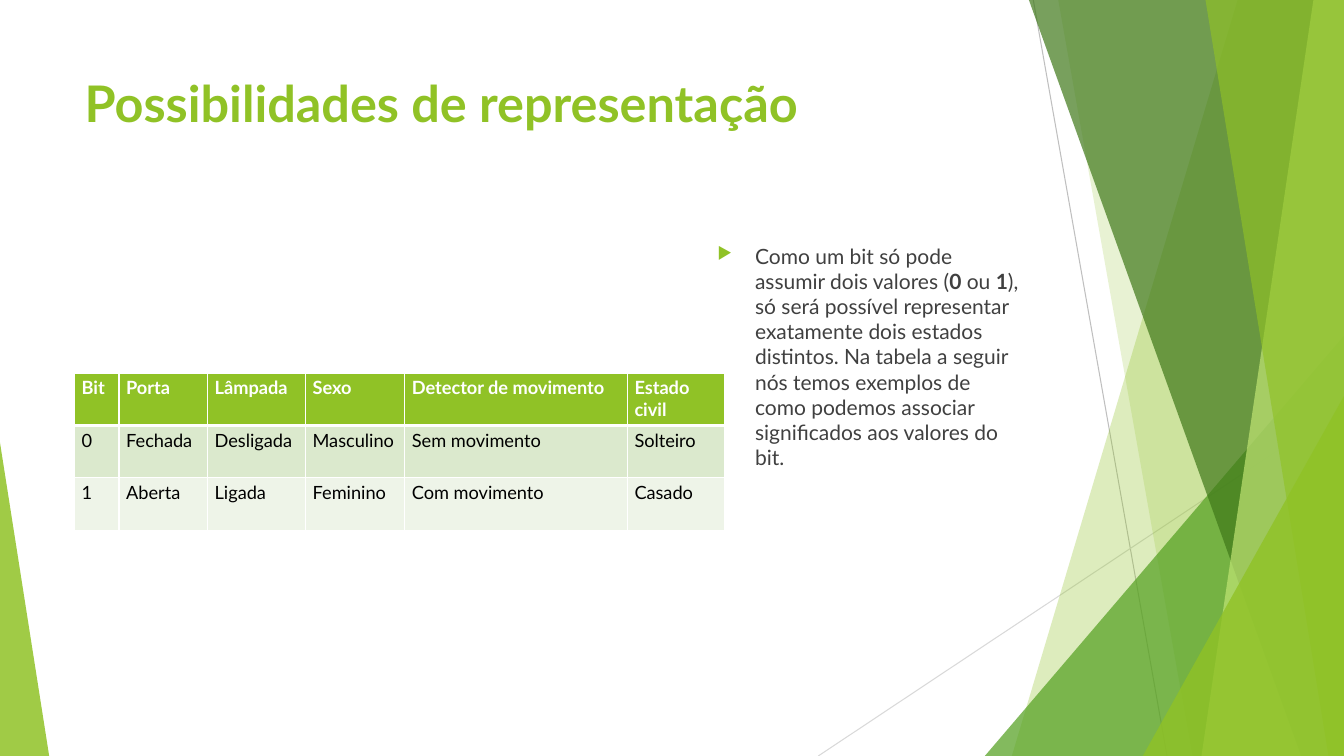
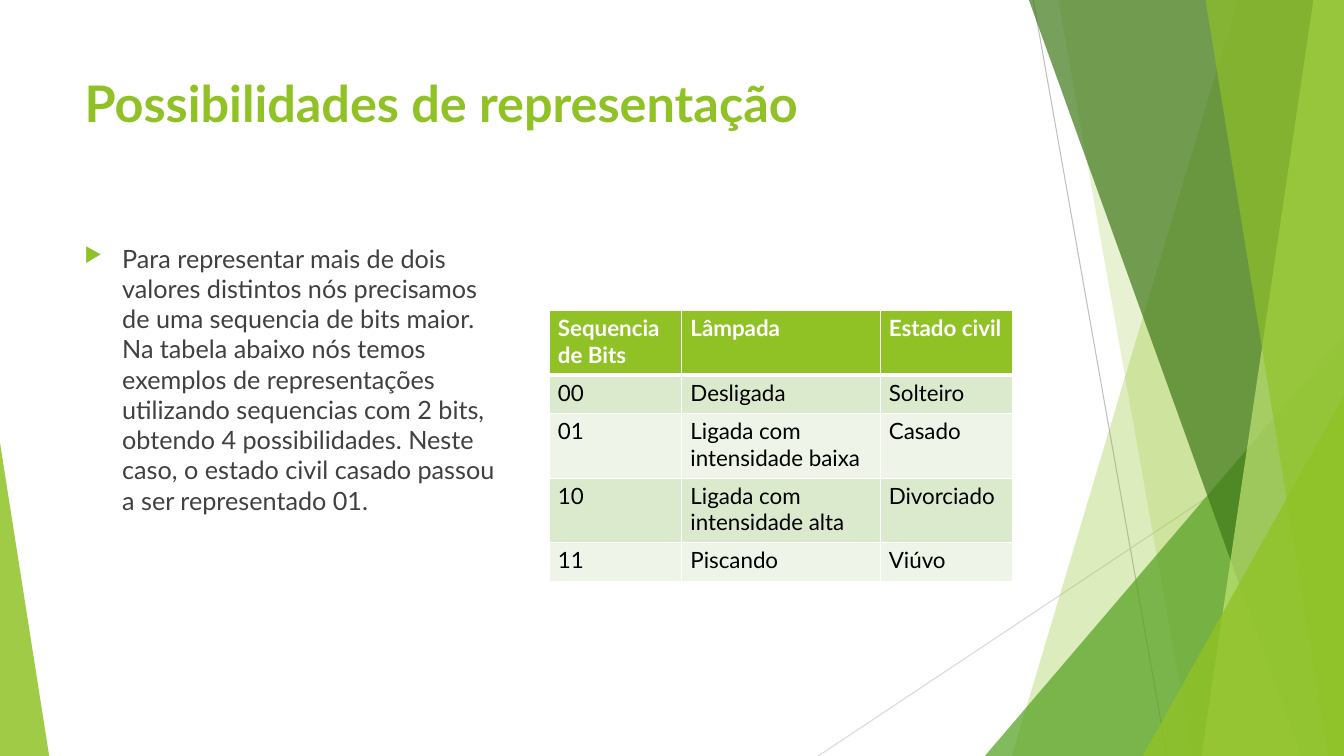
from lxml import etree
from pptx import Presentation
from pptx.dml.color import RGBColor
from pptx.enum.shapes import MSO_CONNECTOR as Connector, MSO_SHAPE as Shape
from pptx.enum.text import MSO_ANCHOR as Anchor, PP_ALIGN as Align
from pptx.oxml import parse_xml
from pptx.oxml.ns import nsdecls, qn
from pptx.util import Cm, Pt

COLORS = {
    "lime": "90C226", "green": "54A021", "forest": "3F7819", "pale": "C0E474",
    "band_dark": "DBE9CD", "band_light": "EEF4E8", "text": "404040",
    "black": "000000", "white": "FFFFFF", "line": "BFBFBF", "line_light": "D9D9D9",
}
FONT = "Lato"
WIDTH, HEIGHT = 33.87, 19.05
TITLE_BOX = (1.88, 1.7, 23.88, 3.66)


def rgb(name):
    return RGBColor.from_string(COLORS[name])


def lengths(values):
    return [Cm(value) for value in values]


def add_span(para, text, size, color, bold=False):
    span = para.add_run()
    span.text = text
    span.font.name = FONT
    span.font.size = Pt(size)
    span.font.bold = bold
    span.font.color.rgb = rgb(color)


# Background facets
def paint(shape, color, opacity):
    shape.shadow.inherit = False
    shape.fill.solid()
    shape.fill.fore_color.rgb = rgb(color)
    shape.line.fill.background()
    color_node = next(shape.element.spPr.iter(qn("a:srgbClr")))
    etree.SubElement(color_node, qn("a:alpha")).set("val", str(opacity * 1000))


def add_ray(page, start, end, color):
    ray = page.shapes.add_connector(Connector.STRAIGHT, *lengths(start + end))
    ray.line.color.rgb = rgb(color)
    ray.line.width = Pt(0.75)
    etree.SubElement(ray.element.spPr, qn("a:effectLst"))


def add_facet(page, top_x, bottom_x, color, opacity):
    """Fill from a slanted left edge to the right side of the slide."""
    outline = page.shapes.build_freeform(Cm(top_x), 0)
    corners = [(WIDTH, 0), (WIDTH, HEIGHT), (bottom_x, HEIGHT)]
    outline.add_line_segments([lengths(corner) for corner in corners])
    paint(outline.convert_to_shape(), color, opacity)


def add_corner(page, left, top, width, apex, color, opacity):
    """Add a right triangle standing on the bottom of the slide."""
    corner = page.shapes.add_shape(
        Shape.ISOSCELES_TRIANGLE, *lengths((left, top, width, HEIGHT - top)))
    corner.adjustments[0] = apex
    paint(corner, color, opacity)


def add_background(page):
    add_ray(page, (26.04, 0), (29.41, HEIGHT), "line")
    add_ray(page, (WIDTH, 10.24), (20.62, HEIGHT), "line_light")
    add_facet(page, 31.19, 25.5, "lime", 30)
    add_facet(page, 26.67, 30.05, "lime", 20)
    add_corner(page, 24.82, 8.46, 9.05, 1, "green", 72)
    add_facet(page, 25.93, 32.79, "forest", 70)
    add_facet(page, 33.1, 30.28, "pale", 70)
    add_facet(page, 30.38, 33.48, "lime", 65)
    add_corner(page, 28.8, 9.98, 5.07, 1, "lime", 80)
    add_corner(page, 0, 11.15, 1.24, 0, "lime", 85)


def share_background(page, layout):
    """Draw the background once and move it to the back of the layout."""
    for holder in list(layout.placeholders):
        if holder.placeholder_format.idx:
            layout.shapes.element.remove(holder.element)
    add_background(page)
    facets = [shape for shape in page.shapes if not shape.is_placeholder]
    for position, facet in enumerate(facets, start=2):
        layout.shapes.element.insert(position, facet.element)


# Title
def set_title(page, text):
    title = page.shapes.title
    title.left, title.top, title.width, title.height = lengths(TITLE_BOX)
    frame = title.text_frame
    frame.word_wrap = True
    frame.vertical_anchor = Anchor.TOP
    para = frame.paragraphs[0]
    para.alignment = Align.LEFT
    add_span(para, text, 36, "lime", True)


# Bulleted paragraph; each span is (text, bold)
def add_bullet_text(page, box, spans, size):
    frame = page.shapes.add_textbox(*lengths(box)).text_frame
    frame.word_wrap = True
    para = frame.paragraphs[0]
    para.space_before = Pt(10)
    for text, bold in spans:
        add_span(para, text, size, "text", bold)
    props = para._p.get_or_add_pPr()
    props.set("marL", str(Cm(0.95)))
    props.set("indent", str(-Cm(0.95)))
    for node in (
        f'<a:buClr {nsdecls("a")}><a:srgbClr val="{COLORS["lime"]}"/></a:buClr>',
        f'<a:buSzPct {nsdecls("a")} val="80000"/>',
        f'<a:buFont {nsdecls("a")} typeface="Wingdings 3"/>',
        f'<a:buChar {nsdecls("a")} char="▶"/>',
    ):
        if "buFont" not in node:
            props.append(parse_xml(node))


# Table
def set_borders(cell, top, bottom):
    props = cell._tc.get_or_add_tcPr()
    for side, width in (("L", 1), ("R", 1), ("T", top), ("B", bottom)):
        props.append(parse_xml(
            f'<a:ln{side} {nsdecls("a")} w="{Pt(width)}"><a:solidFill>'
            f'<a:srgbClr val="{COLORS["white"]}"/></a:solidFill></a:ln{side}>'))


def fill_cell(cell, text, row, size, inset):
    header = row == 0
    cell.margin_left = cell.margin_right = Cm(inset)
    cell.margin_top = cell.margin_bottom = Cm(0.1)
    set_borders(cell, 3 if row == 1 else 1, 3 if header else 1)
    cell.fill.solid()
    band = "band_dark" if row % 2 else "band_light"
    cell.fill.fore_color.rgb = rgb("lime" if header else band)
    add_span(cell.text_frame.paragraphs[0], text, size,
             "white" if header else "black", header)


def add_grid(page, corner, widths, heights, rows, size, inset):
    box = (*corner, sum(widths), sum(heights))
    table = page.shapes.add_table(len(rows), len(widths), *lengths(box)).table
    for column, width in zip(table.columns, widths):
        column.width = Cm(width)
    for line, height in zip(table.rows, heights):
        line.height = Cm(height)
    for row, texts in enumerate(rows):
        for column, text in enumerate(texts):
            fill_cell(table.cell(row, column), text, row, size, inset)


# Slides
def build_single_bit(page):
    set_title(page, "Possibilidades de representação")
    add_bullet_text(page, (17.83, 6, 8.13, 10.77), [
        ("Como um bit só pode assumir dois valores (", False),
        ("0", True), (" ou ", False), ("1", True),
        ("), só será possível representar exatamente dois estados distintos. "
         "Na tabela a seguir nós temos exemplos de como podemos associar "
         "significados aos valores do bit.", False),
    ], 15)
    add_grid(page, (1.88, 9.4), (1.12, 2.23, 2.47, 2.5, 5.61, 2.44), (1.32,) * 3, [
        ("Bit", "Porta", "Lâmpada", "Sexo", "Detector de movimento", "Estado civil"),
        ("0", "Fechada", "Desligada", "Masculino", "Sem movimento", "Solteiro"),
        ("1", "Aberta", "Ligada", "Feminino", "Com movimento", "Casado"),
    ], 13, 0.18)


def build_two_bits(page):
    set_title(page, "Possibilidades de representação")
    add_bullet_text(page, (1.88, 6, 11, 10.41), [
        ("Para representar mais de dois valores distintos nós precisamos de uma "
         "sequencia de bits maior. Na tabela abaixo nós temos exemplos de "
         "representações utilizando sequencias com 2 bits, obtendo 4 "
         "possibilidades. Neste caso, o estado civil casado passou a ser "
         "representado 01.", False),
    ], 18)
    add_grid(page, (13.84, 7.82), (3.34, 5, 3.34), (1.63, 0.97, 1.63, 1.63, 0.97), [
        ("Sequencia de Bits", "Lâmpada", "Estado civil"),
        ("00", "Desligada", "Solteiro"),
        ("01", "Ligada com intensidade baixa", "Casado"),
        ("10", "Ligada com intensidade alta", "Divorciado"),
        ("11", "Piscando", "Viúvo"),
    ], 16, 0.22)


def main():
    deck = Presentation()
    deck.slide_width, deck.slide_height = lengths((WIDTH, HEIGHT))
    layout = deck.slide_layouts[5]
    pages = [deck.slides.add_slide(layout) for _ in range(2)]
    share_background(pages[0], layout)
    build_single_bit(pages[0])
    build_two_bits(pages[1])
    deck.save("out.pptx")


if __name__ == "__main__":
    main()
